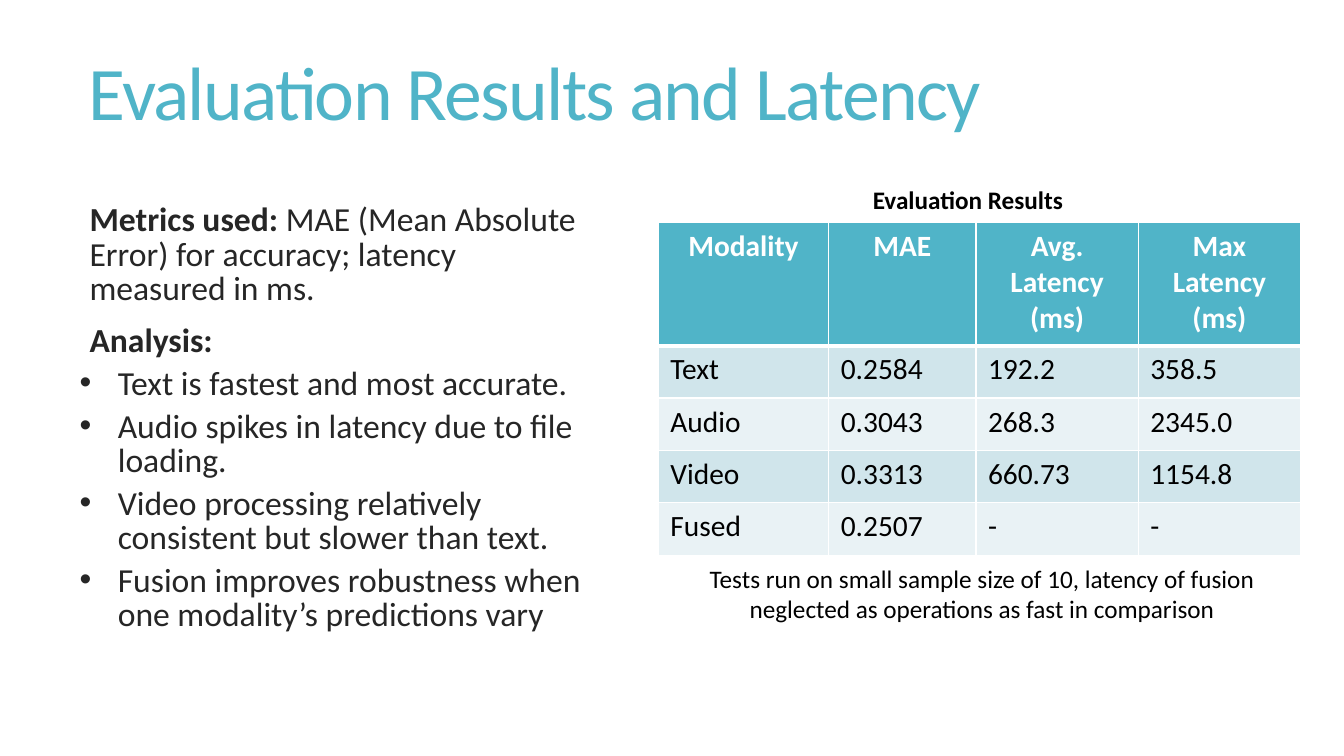
from dataclasses import dataclass

from lxml.etree import SubElement
from pptx import Presentation
from pptx.dml.color import RGBColor
from pptx.enum.text import MSO_ANCHOR as Anchor, PP_ALIGN as Align
from pptx.oxml.ns import qn
from pptx.util import Inches, Pt

FONT = "Calibri"
TEAL, PALE, PALER = "50B4C8", "D0E5EB", "E9F2F5"
WHITE, BLACK, CHARCOAL = "FFFFFF", "000000", "262626"


@dataclass
class Span:
    text: str
    bold: bool = False


@dataclass
class Para:
    spans: list[Span]
    bullet: str = ""
    hang: float = 0
    before: float = 0
    line: float = 1
    align: Align = Align.LEFT


@dataclass
class Box:
    left: float
    top: float
    width: float
    height: float
    size: float
    color: str
    paras: list[Para]
    anchor: Anchor = Anchor.TOP
    tracking: float = 0


def lead(*spans: Span) -> Para:
    return Para(list(spans), " ", 0.1, 13, 0.85)


def point(text: str) -> Para:
    return Para([Span(text)], "•", 0.38, 6, 0.85)


def centred(text: str, bold: bool = False) -> Para:
    return Para([Span(text, bold)], align=Align.CENTER)


BOXES = [
    Box(0.78, 0.3, 11.77, 1.34, 54, TEAL,
        [Para([Span("Evaluation Results and Latency")], line=0.85)],
        Anchor.MIDDLE, -1.2),
    Box(0.69, 2.05, 5.32, 4.21, 24, CHARCOAL, [
        lead(Span("Metrics used: ", True),
             Span("MAE (Mean Absolute Error) for accuracy; latency measured in ms.")),
        lead(Span("Analysis:", True)),
        point("Text is fastest and most accurate."),
        point("Audio spikes in latency due to file loading."),
        point("Video processing relatively consistent but slower than text."),
        point("Fusion improves robustness when one modality’s predictions vary"),
    ], Anchor.MIDDLE),
    Box(6.67, 5.54, 6.14, 0.71, 18, BLACK, [centred(
        "Tests run on small sample size of 10, latency of fusion "
        "neglected as operations as fast in comparison")]),
    Box(7.04, 1.78, 5.12, 0.4, 18, BLACK, [centred("Evaluation Results", True)]),
]

COLUMN_WIDTHS = [1.69, 1.46, 1.61, 1.61]
ROW_HEIGHTS = [1.22] + [0.52] * 4
RESULTS = [
    ["Modality", "MAE", "Avg. Latency (ms)", "Max Latency (ms)"],
    ["Text", "0.2584", "192.2", "358.5"],
    ["Audio", "0.3043", "268.3", "2345.0"],
    ["Video", "0.3313", "660.73", "1154.8"],
    ["Fused", "0.2507", "-", "-"],
]


def rgb(color: str) -> RGBColor:
    return RGBColor.from_string(color)


def write_para(paragraph, para: Para, size: float, color: str, tracking: float = 0) -> None:
    paragraph.alignment = para.align
    paragraph.line_spacing = para.line
    paragraph.space_before = Pt(para.before)
    if para.bullet:
        props = paragraph._p.get_or_add_pPr()
        props.set("marL", str(Inches(para.hang)))
        props.set("indent", str(-Inches(para.hang)))
        SubElement(props, qn("a:buFont"), typeface="Arial")
        SubElement(props, qn("a:buChar"), char=para.bullet)
    for span in para.spans:
        run = paragraph.add_run()
        run.text = span.text
        run.font.name = FONT
        run.font.size = Pt(size)
        run.font.bold = span.bold
        run.font.color.rgb = rgb(color)
        if tracking:
            run._r.get_or_add_rPr().set("spc", str(round(tracking * 100)))


def draw_box(page, box: Box) -> None:
    shape = page.shapes.add_textbox(
        *map(Inches, (box.left, box.top, box.width, box.height)))
    frame = shape.text_frame
    frame.word_wrap = True
    frame.vertical_anchor = box.anchor
    for index, para in enumerate(box.paras):
        paragraph = frame.add_paragraph() if index else frame.paragraphs[0]
        write_para(paragraph, para, box.size, box.color, box.tracking)


def draw_borders(cell, top: float, bottom: float) -> None:
    """Draw white borders; must precede the cell fill in the XML."""
    props = cell._tc.get_or_add_tcPr()
    for side, width in (("L", 1), ("R", 1), ("T", top), ("B", bottom)):
        line = SubElement(props, qn(f"a:ln{side}"), w=str(Pt(width)))
        SubElement(SubElement(line, qn("a:solidFill")), qn("a:srgbClr"), val=WHITE)


def draw_results(page) -> None:
    table = page.shapes.add_table(
        len(RESULTS), len(COLUMN_WIDTHS), Inches(6.53), Inches(2.21),
        Inches(sum(COLUMN_WIDTHS)), Inches(sum(ROW_HEIGHTS))).table
    for column, width in zip(table.columns, COLUMN_WIDTHS):
        column.width = Inches(width)
    for index, (row, height, texts) in enumerate(zip(table.rows, ROW_HEIGHTS, RESULTS)):
        row.height = Inches(height)
        header = index == 0
        fill = TEAL if header else PALE if index % 2 else PALER
        for cell, text in zip(row.cells, texts):
            cell.margin_left = cell.margin_right = Inches(0.12)
            cell.margin_top = cell.margin_bottom = Inches(0.06)
            draw_borders(cell, 3 if index == 1 else 1, 3 if header else 1)
            cell.fill.solid()
            cell.fill.fore_color.rgb = rgb(fill)
            para = centred(text, True) if header else Para([Span(text)])
            write_para(cell.text_frame.paragraphs[0], para, 21, WHITE if header else BLACK)


def main() -> None:
    deck = Presentation()
    deck.slide_width, deck.slide_height = Inches(13.33), Inches(7.5)
    page = deck.slides.add_slide(deck.slide_layouts[6])
    for box in BOXES:
        draw_box(page, box)
    draw_results(page)
    deck.save("out.pptx")


if __name__ == "__main__":
    main()
